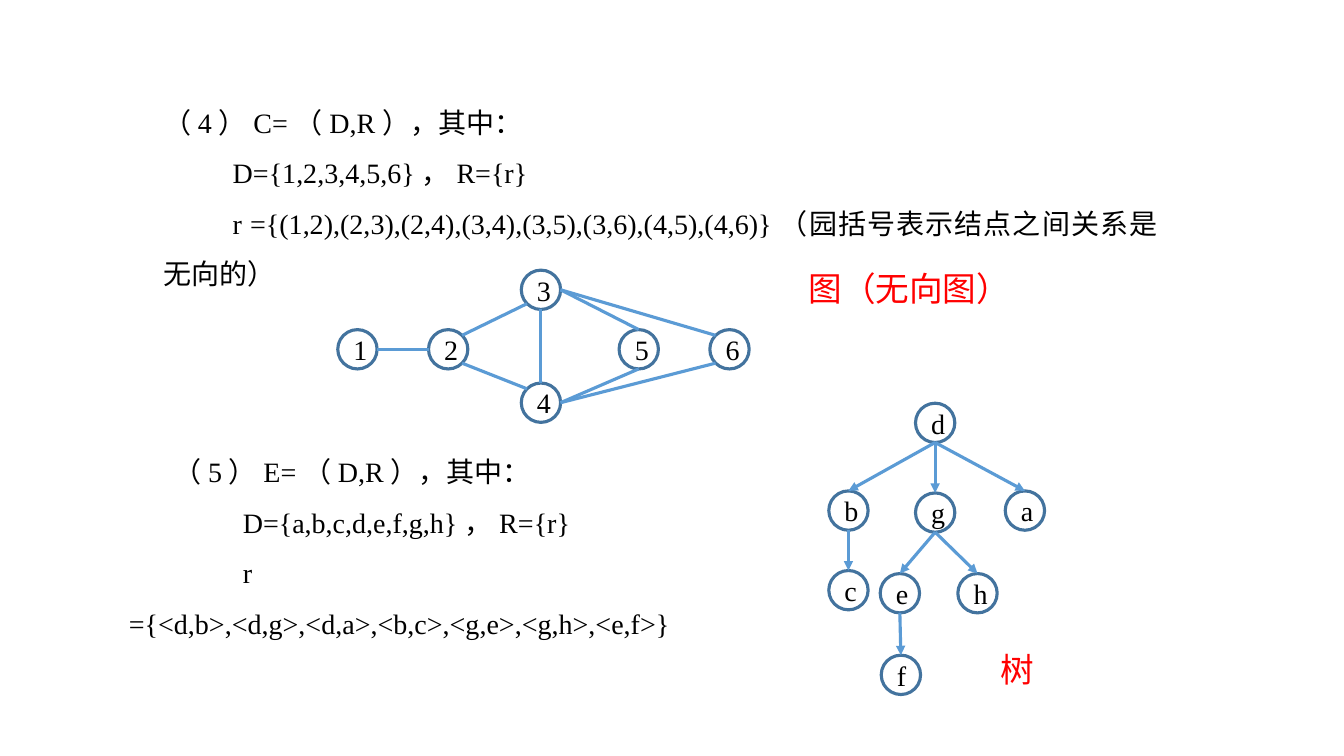
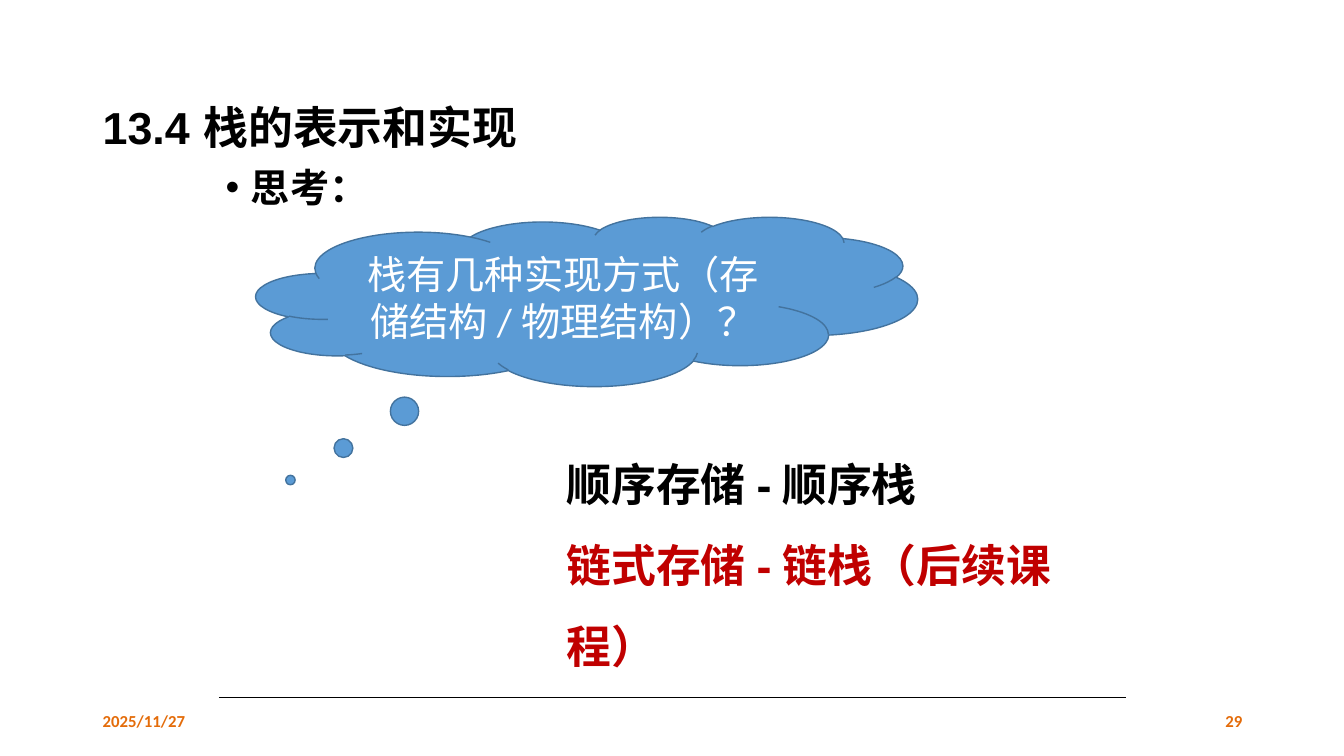
"""Build two slides on graphs, trees and stack implementations."""

from dataclasses import dataclass, field
from math import cos, radians, sin
from typing import Any

from lxml import etree
from pptx import Presentation
from pptx.dml.color import RGBColor
from pptx.enum.shapes import MSO_CONNECTOR, MSO_SHAPE
from pptx.enum.text import MSO_ANCHOR, PP_ALIGN
from pptx.oxml.ns import qn
from pptx.util import Inches, Pt

STRAIGHT = MSO_CONNECTOR.STRAIGHT
ELLIPSE, CLOUD = MSO_SHAPE.OVAL, MSO_SHAPE.CLOUD_CALLOUT
TOP, MIDDLE = MSO_ANCHOR.TOP, MSO_ANCHOR.MIDDLE
LEFT, CENTER, RIGHT, JUSTIFY = PP_ALIGN.LEFT, PP_ALIGN.CENTER, PP_ALIGN.RIGHT, PP_ALIGN.JUSTIFY

COLOURS = {
    "black": "000000", "white": "FFFFFF", "red": "FF0000", "dark red": "C00000",
    "orange": "E46C0A", "blue": "5B9BD5", "outline": "43739E",
}
CHINESE_FONT = "Noto Sans CJK SC"
FORMATS = {
    "text": {"name": "Times New Roman", "size": Pt(20)},
    "label": {"name": CHINESE_FONT, "size": Pt(24)},
    "heading": {"name": "Arial", "size": Pt(32), "bold": True},
    "bullet": {"name": "Calibri", "size": Pt(28), "bold": True},
    "thought": {"name": "Calibri", "size": Pt(28)},
    "footer": {"name": "Calibri", "size": Pt(12), "bold": True},
}
DIAMETER = 0.39
ANGLES = {"E": 0, "SE": 45, "S": 90, "SW": 135, "W": 180, "NW": 225, "N": 270, "NE": 315}


@dataclass(frozen=True)
class Line:
    """One paragraph with its style, indents and spacing."""

    text: str
    style: str
    colour: str = "black"
    alignment: Any = LEFT
    spacing: Any = 1.0
    margin: float = 0
    indent: float = 0
    bullet: str = ""
    tab: float = 0


@dataclass(frozen=True)
class TextBox:
    """A text box with its place and paragraphs."""

    left: float
    top: float
    width: float
    height: float
    lines: list[Line] = field(default_factory=list)
    anchor: Any = TOP


@dataclass(frozen=True)
class Node:
    """A circle with a label."""

    label: str
    left: float
    top: float

    def site(self, direction: str) -> tuple[float, float]:
        """Return the point of the outline in a compass direction."""
        radius, angle = DIAMETER / 2, radians(ANGLES[direction])
        return (self.left + radius * (1 + cos(angle)), self.top + radius * (1 + sin(angle)))


@dataclass(frozen=True)
class Edge:
    """A link between the outlines of two nodes."""

    start: str
    end: str
    leave: str = "S"
    enter: str = "N"


def relation(text: str, indent: float, alignment: Any = LEFT) -> Line:
    """Return a line of a relation definition."""
    return Line(text, "text", alignment=alignment, spacing=1.5, indent=indent)


GRAPH_NODES = [
    Node("1", 3.35, 3.27), Node("2", 4.25, 3.27), Node("3", 5.17, 2.68),
    Node("4", 5.17, 3.8), Node("5", 6.14, 3.27), Node("6", 7.04, 3.27),
]
GRAPH_EDGES = [
    Edge("1", "2", "E", "W"), Edge("2", "3", "NE", "SW"), Edge("2", "4", "SE", "NW"),
    Edge("3", "4"), Edge("3", "5", "E", "N"), Edge("4", "5", "E", "S"),
    Edge("3", "6", "E", "NW"), Edge("4", "6", "E", "SW"),
]
TREE_NODES = [
    Node("d", 9.08, 4), Node("b", 8.22, 4.87), Node("g", 9.08, 4.89), Node("a", 9.97, 4.87),
    Node("c", 8.22, 5.66), Node("e", 8.73, 5.69), Node("h", 9.5, 5.69), Node("f", 8.74, 6.5),
]
TREE_EDGES = [Edge(*pair) for pair in ("db", "dg", "da", "bc", "ge", "gh", "ef")]

RELATION_BOXES = [
    TextBox(1.52, 0.83, 10.06, 2.1, [
        relation("（4）C=（D,R），其中：", 0, JUSTIFY),
        relation("D={1,2,3,4,5,6}，R={r}", 0.69, JUSTIFY),
        relation("r ={(1,2),(2,3),(2,4),(3,4),(3,5),(3,6),(4,5),(4,6)}"
                 "（园括号表示结点之间关系是无向的）", 0.69, JUSTIFY),
    ]),
    TextBox(1.18, 4.64, 6.3, 1.41, [
        relation("（5）E=（D,R），其中：", 0.44),
        relation("D={a,b,c,d,e,f,g,h}，R={r}", 1.13),
        relation("r ={<d,b>,<d,g>,<d,a>,<b,c>,<g,e>,<g,h>,<e,f>}", 1.13),
    ], MIDDLE),
    TextBox(7.92, 2.61, 2.22, 0.5, [Line("图（无向图）", "label", "red")]),
    TextBox(9.82, 6.39, 0.54, 0.5, [Line("树", "label", "red")]),
]
STACK_BOXES = [
    TextBox(0.92, 0.4, 11.5, 1.45,
            [Line("13.4\t栈的表示和实现", "heading", spacing=1.5, tab=1.21)], MIDDLE),
    TextBox(2.14, 1.61, 9, 0.6,
            [Line("思考：", "bullet", spacing=Pt(31), margin=0.25, indent=-0.25, bullet="•")]),
    TextBox(0.92, 6.95, 3, 0.4, [Line("2025/11/27", "footer", "orange")], MIDDLE),
    TextBox(9.42, 6.95, 3, 0.4, [Line("29", "footer", "orange", RIGHT)], MIDDLE),
    TextBox(5.52, 4.22, 5.76, 2.5, [
        Line("顺序存储-顺序栈", "heading", spacing=1.5),
        Line("链式存储-链栈（后续课程）", "heading", "dark red", spacing=1.5),
    ]),
]
THOUGHT = Line("栈有几种实现方式（存储结构/物理结构）？", "thought", "white", CENTER)


def colour_of(name: str) -> RGBColor:
    """Return a named colour."""
    return RGBColor.from_string(COLOURS[name])


def write_line(paragraph: Any, line: Line) -> None:
    """Write and format one paragraph."""
    properties = paragraph._p.get_or_add_pPr()
    properties.set("marL", str(Inches(line.margin)))
    properties.set("indent", str(Inches(line.indent)))
    if line.bullet:
        etree.SubElement(properties, qn("a:buFont"), typeface="Arial")
        etree.SubElement(properties, qn("a:buChar"), char=line.bullet)
    if line.tab:
        tabs = etree.SubElement(properties, qn("a:tabLst"))
        etree.SubElement(tabs, qn("a:tab"), pos=str(Inches(line.tab)), algn="l")
    paragraph.alignment = line.alignment
    paragraph.line_spacing = line.spacing
    run = paragraph.add_run()
    run.text = line.text
    for name, value in FORMATS[line.style].items():
        setattr(run.font, name, value)
    run.font.color.rgb = colour_of(line.colour)
    etree.SubElement(run._r.get_or_add_rPr(), qn("a:ea"), typeface=CHINESE_FONT)


def fill_text(shape: Any, lines: list[Line], anchor: Any) -> None:
    """Write lines into a wrapped text frame."""
    frame = shape.text_frame
    frame.word_wrap = True
    frame.vertical_anchor = anchor
    for index, line in enumerate(lines):
        write_line(frame.add_paragraph() if index else frame.paragraphs[0], line)


def add_text_box(slide: Any, box: TextBox) -> None:
    """Draw a text box."""
    place = map(Inches, (box.left, box.top, box.width, box.height))
    fill_text(slide.shapes.add_textbox(*place), box.lines, box.anchor)


def add_outlined(slide: Any, preset: Any, place: tuple[float, ...], weight: float, line: Line) -> Any:
    """Draw an unfilled preset shape with an outline and centred text."""
    shape = slide.shapes.add_shape(preset, *map(Inches, place))
    shape.shadow.inherit = False
    shape.fill.background()
    shape.line.color.rgb = colour_of("outline")
    shape.line.width = Pt(weight)
    fill_text(shape, [line], MIDDLE)
    return shape


def add_line(slide: Any, start: tuple[float, float], end: tuple[float, float],
             colour: str, weight: float, arrow: bool = False) -> None:
    """Draw a straight line, with an arrowhead at its end on request."""
    connector = slide.shapes.add_connector(STRAIGHT, *map(Inches, (*start, *end)))
    connector.line.color.rgb = colour_of(colour)
    connector.line.width = Pt(weight)
    if arrow:
        etree.SubElement(connector.line._get_or_add_ln(), qn("a:tailEnd"), type="triangle")
    etree.SubElement(connector._element.spPr, qn("a:effectLst"))


def add_network(slide: Any, nodes: list[Node], edges: list[Edge], directed: bool) -> None:
    """Draw nodes and the edges between them."""
    by_label = {node.label: node for node in nodes}
    for node in nodes:
        add_outlined(slide, ELLIPSE, (node.left, node.top, DIAMETER, DIAMETER), 2.25,
                     Line(node.label, "text", alignment=CENTER))
    for edge in edges:
        add_line(slide, by_label[edge.start].site(edge.leave),
                 by_label[edge.end].site(edge.enter), "blue", 2.25, directed)


def build_relation_slide(slide: Any) -> None:
    """Draw the graph and the tree beside their definitions."""
    for box in RELATION_BOXES:
        add_text_box(slide, box)
    add_network(slide, GRAPH_NODES, GRAPH_EDGES, directed=False)
    add_network(slide, TREE_NODES, TREE_EDGES, directed=True)


def build_stack_slide(slide: Any) -> None:
    """Draw the question about stack implementations and its answers."""
    add_line(slide, (2.17, 6.92), (11.17, 6.92), "black", 0.5)
    cloud = add_outlined(slide, CLOUD, (2.54, 2.15, 6.56, 1.68), 1, THOUGHT)
    cloud.fill.solid()
    cloud.fill.fore_color.rgb = colour_of("blue")
    for index, value in enumerate((-0.448, 1.055)):
        cloud.adjustments[index] = value
    for box in STACK_BOXES:
        add_text_box(slide, box)


def main() -> None:
    """Build and save the presentation."""
    presentation = Presentation()
    presentation.slide_width = Inches(13.33)
    presentation.slide_height = Inches(7.5)
    blank = presentation.slide_layouts[6]
    for build in (build_relation_slide, build_stack_slide):
        build(presentation.slides.add_slide(blank))
    presentation.save("out.pptx")


if __name__ == "__main__":
    main()
